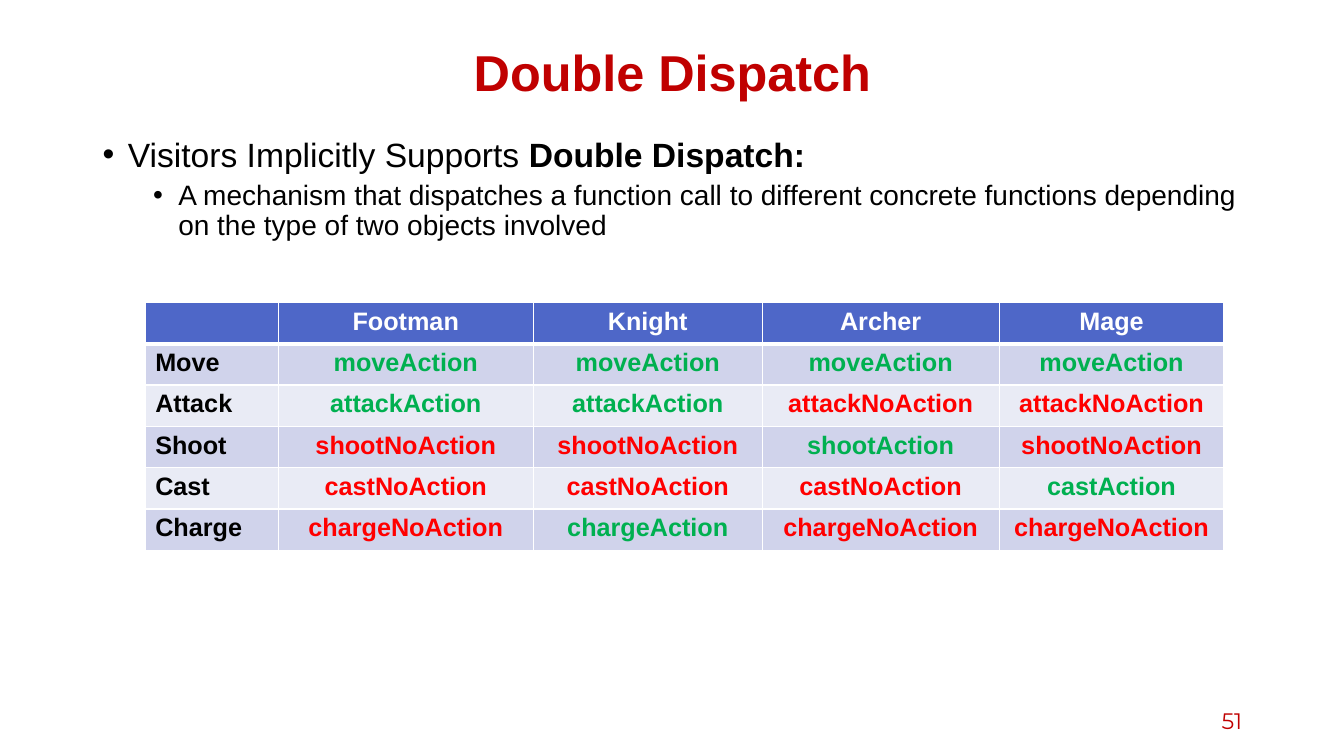
import dataclasses

import lxml.etree
import pptx
import pptx.dml.color
import pptx.enum.text
import pptx.oxml.ns
import pptx.util

Inches = pptx.util.Inches
Align = pptx.enum.text.PP_ALIGN
Anchor = pptx.enum.text.MSO_ANCHOR
qn = pptx.oxml.ns.qn


@dataclasses.dataclass(frozen=True)
class Theme:
    font: str = "Arial"
    digit: str = "Montserrat"
    red: str = "C00000"
    black: str = "000000"
    white: str = "FFFFFF"
    head: str = "4E67C8"
    bands: tuple = ("D0D3EB", "E9EBF5")
    yes: str = "00B050"
    no: str = "FF0000"
    title: int = 36
    main: int = 24
    sub: int = 20
    cell: int = 18
    page: int = 16


THEME = Theme()

UNITS = ["Footman", "Knight", "Archer", "Mage"]
# Each action with the units that can perform it
ACTS = {
    "Move": UNITS,
    "Attack": ["Footman", "Knight"],
    "Shoot": ["Archer"],
    "Cast": ["Mage"],
    "Charge": ["Knight"],
}
COLS = [1.32, 2.53, 2.27, 2.35, 2.23]
ROW = 0.41


def write(para, text, size, color=THEME.black, bold=False,
          font=THEME.font, align=None):
    """Add a formatted run to a paragraph."""
    run = para.add_run()
    run.text = text
    run.font.name = font
    run.font.size = pptx.util.Pt(size)
    run.font.bold = bold
    run.font.color.rgb = pptx.dml.color.RGBColor.from_string(color)
    if align is not None:
        para.alignment = align


def bullet(para, level, left, before):
    """Give a paragraph a hanging bullet."""
    para.level = level
    para.line_spacing = 0.9
    para.space_before = pptx.util.Pt(before)
    props = para._p.get_or_add_pPr()
    props.set("marL", str(Inches(left)))
    props.set("indent", str(Inches(-0.25)))
    lxml.etree.SubElement(props, qn("a:buFont"), typeface="Arial")
    lxml.etree.SubElement(props, qn("a:buChar"), char="•")


def border(cell, **widths):
    """Draw white cell borders; widths in points by side."""
    props = cell._tc.get_or_add_tcPr()
    for side in "LRTB":
        width = pptx.util.Pt(widths.get(side, 1))
        line = lxml.etree.SubElement(props, qn("a:ln" + side), w=str(width))
        fill = lxml.etree.SubElement(line, qn("a:solidFill"))
        lxml.etree.SubElement(fill, qn("a:srgbClr"), val=THEME.white)


def paint(cell, color):
    cell.fill.solid()
    cell.fill.fore_color.rgb = pptx.dml.color.RGBColor.from_string(color)


def add_box(slide, box, anchor=Anchor.TOP):
    frame = slide.shapes.add_textbox(*map(Inches, box)).text_frame
    frame.word_wrap = True
    frame.vertical_anchor = anchor
    return frame


def add_title(slide, box):
    shape = slide.shapes.title
    shape.left, shape.top, shape.width, shape.height = map(Inches, box)
    frame = shape.text_frame
    frame.auto_size = pptx.enum.text.MSO_AUTO_SIZE.NONE
    frame.vertical_anchor = Anchor.MIDDLE
    para = frame.paragraphs[0]
    para.line_spacing = 0.9
    write(para, "Double Dispatch", THEME.title, color=THEME.red, bold=True,
          align=Align.CENTER)


def add_body(slide, box):
    frame = add_box(slide, box)
    main = frame.paragraphs[0]
    bullet(main, 0, 0.25, 10)
    write(main, "Visitors Implicitly Supports ", THEME.main)
    write(main, "Double Dispatch:", THEME.main, bold=True)
    sub = frame.add_paragraph()
    bullet(sub, 1, 0.75, 5)
    write(sub, "A mechanism that dispatches a function call to different "
          "concrete functions depending on the type of two objects involved",
          THEME.sub)


def add_grid(slide, left, top):
    rows = len(ACTS) + 1
    size = (left, top, sum(COLS), rows * ROW)
    table = slide.shapes.add_table(rows, len(COLS), *map(Inches, size)).table
    for col, width in zip(table.columns, COLS):
        col.width = Inches(width)
    for row in table.rows:
        row.height = Inches(ROW)

    def put(row, col, text, color, align=Align.CENTER):
        write(table.cell(row, col).text_frame.paragraphs[0], text,
              THEME.cell, color=color, bold=True, align=align)

    # Fills and borders
    for row in range(rows):
        for col in range(len(COLS)):
            cell = table.cell(row, col)
            border(cell, T=3 if row == 1 else 1, B=1 if row else 3)
            paint(cell, THEME.bands[(row - 1) % 2] if row else THEME.head)

    # Header, then one row per action
    for col, unit in enumerate(UNITS, 1):
        put(0, col, unit, THEME.white)
    for row, (act, able) in enumerate(ACTS.items(), 1):
        put(row, 0, act, THEME.black, align=Align.LEFT)
        for col, unit in enumerate(UNITS, 1):
            can = unit in able
            put(row, col, act.lower() + ("Action" if can else "NoAction"),
                THEME.yes if can else THEME.no)


def add_page(slide, box):
    frame = add_box(slide, box, anchor=Anchor.MIDDLE)
    write(frame.paragraphs[0], "51", THEME.page, color=THEME.red,
          font=THEME.digit, align=Align.RIGHT)


def main():
    deck = pptx.Presentation()
    deck.slide_width, deck.slide_height = Inches(13.33), Inches(7.5)
    slide = deck.slides.add_slide(deck.slide_layouts[5])
    add_title(slide, (0.92, 0.4, 11.5, 0.7))
    add_body(slide, (0.92, 1.32, 11.5, 5.51))
    add_page(slide, (9.42, 6.95, 3, 0.4))
    add_grid(slide, 1.44, 3)
    deck.save("out.pptx")


if __name__ == "__main__":
    main()
